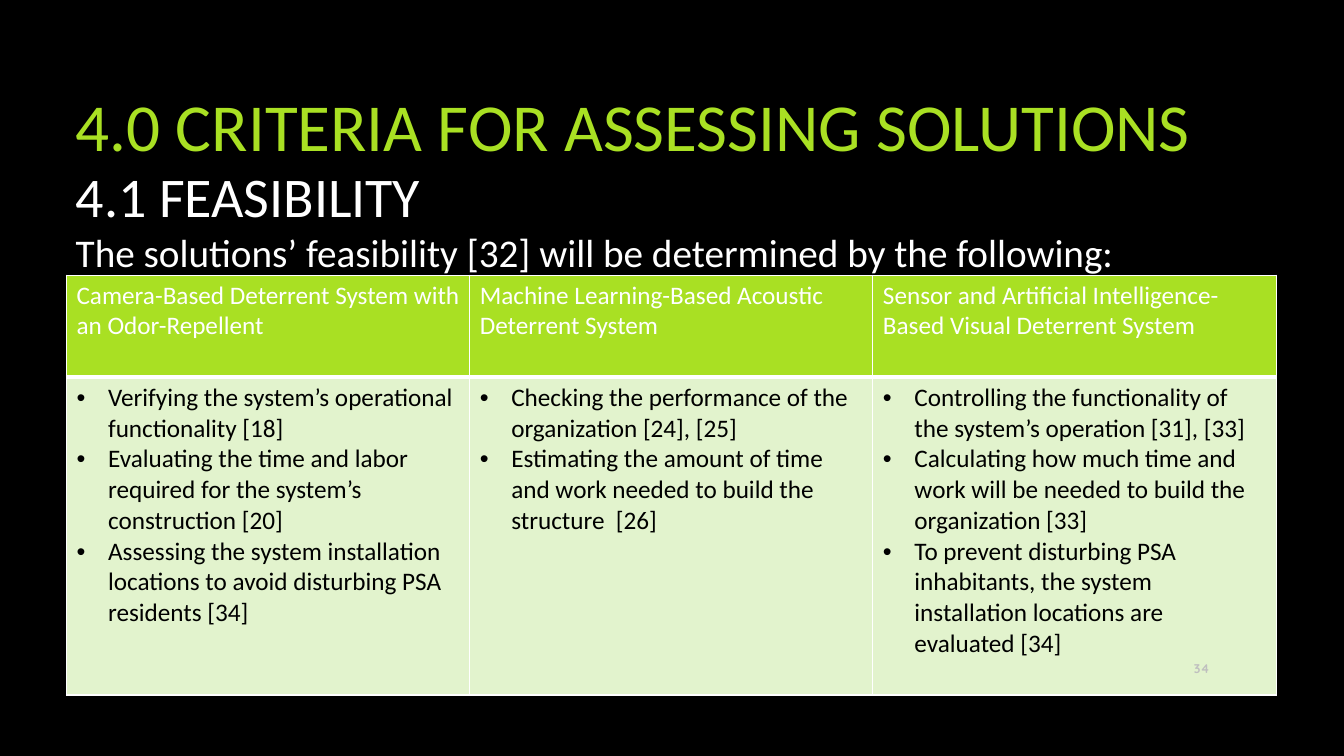
from dataclasses import dataclass

from lxml import etree
from pptx import Presentation
from pptx.dml.color import RGBColor
from pptx.enum.text import MSO_ANCHOR, MSO_AUTO_SIZE, PP_ALIGN
from pptx.oxml.ns import qn
from pptx.util import Pt

LEFT, RIGHT = PP_ALIGN.LEFT, PP_ALIGN.RIGHT
TOP, MIDDLE = MSO_ANCHOR.TOP, MSO_ANCHOR.MIDDLE
NO_AUTOFIT = MSO_AUTO_SIZE.NONE
TITLE_ONLY = 5


@dataclass(frozen=True)
class Theme:
    background: str = "000000"
    accent: str = "A9E023"
    tint: str = "E2F3CD"
    light: str = "FFFFFF"
    dark: str = "000000"
    muted: str = "BFBFBF"
    body_font: str = "Calibri"
    number_font: str = "Quicksand"
    title_size: int = 48
    heading_size: int = 40
    lead_size: int = 28
    table_size: int = 18
    number_size: int = 9
    border: int = 1
    header_rule: int = 3
    bullet_indent: float = 22.5


class SlideBuilder:
    def __init__(self, slide, theme):
        self.slide = slide
        self.theme = theme
        fill = slide.background.fill
        fill.solid()
        fill.fore_color.rgb = RGBColor.from_string(theme.background)

    def style(self, paragraph, size, color, font=None, bold=False, align=LEFT):
        paragraph.alignment = align
        paragraph.font.name = font or self.theme.body_font
        paragraph.font.size = Pt(size)
        paragraph.font.bold = bold
        paragraph.font.color.rgb = RGBColor.from_string(color)

    def title(self, text, left, top, width, height):
        title = self.slide.shapes.title
        title.left, title.top = Pt(left), Pt(top)
        title.width, title.height = Pt(width), Pt(height)
        frame = title.text_frame
        frame.text = text
        frame.word_wrap = True
        frame.auto_size = NO_AUTOFIT
        frame.vertical_anchor = MIDDLE
        self.style(frame.paragraphs[0], self.theme.title_size, self.theme.accent)

    def text(self, lines, left, top, width, height, color, anchor=TOP, **style):
        """Add a text box; lines holds (text, size) pairs."""
        box = self.slide.shapes.add_textbox(Pt(left), Pt(top), Pt(width), Pt(height))
        frame = box.text_frame
        frame.word_wrap = True
        frame.vertical_anchor = anchor
        for i, (line, size) in enumerate(lines):
            paragraph = frame.add_paragraph() if i else frame.paragraphs[0]
            paragraph.text = line
            self.style(paragraph, size, color, **style)

    def cell(self, cell, lines, fill, color, bottom, bullets=False):
        # Borders go before the fill in the cell properties
        properties = cell._tc.get_or_add_tcPr()
        border = self.theme.border
        for side, width in (("L", border), ("R", border), ("T", border), ("B", bottom)):
            line = etree.SubElement(properties, qn(f"a:ln{side}"), w=str(Pt(width)))
            solid = etree.SubElement(line, qn("a:solidFill"))
            etree.SubElement(solid, qn("a:srgbClr"), val=self.theme.light)
        cell.fill.solid()
        cell.fill.fore_color.rgb = RGBColor.from_string(fill)

        frame = cell.text_frame
        for i, text in enumerate(lines):
            paragraph = frame.add_paragraph() if i else frame.paragraphs[0]
            paragraph.text = text
            if bullets:
                self.bullet(paragraph)
            self.style(paragraph, self.theme.table_size, color)

    def bullet(self, paragraph):
        properties = paragraph._p.get_or_add_pPr()
        indent = Pt(self.theme.bullet_indent)
        properties.set("marL", str(indent))
        properties.set("indent", str(-indent))
        etree.SubElement(properties, qn("a:buFont"), typeface="Arial")
        etree.SubElement(properties, qn("a:buChar"), char="•")

    def table(self, columns, left, top, width, row_heights):
        """Add a table; columns maps each header to its bullet points."""
        frame = self.slide.shapes.add_table(
            len(row_heights), len(columns), Pt(left), Pt(top), Pt(width), Pt(sum(row_heights)))
        table = frame.table
        table.horz_banding = False
        for row, height in zip(table.rows, row_heights):
            row.height = Pt(height)
        theme = self.theme
        for i, (header, points) in enumerate(columns.items()):
            table.columns[i].width = Pt(width / len(columns))
            self.cell(table.cell(0, i), [header], theme.accent, theme.light, theme.header_rule)
            self.cell(table.cell(1, i), points, theme.tint, theme.dark, theme.border, bullets=True)


SOLUTIONS = {
    "Camera-Based Deterrent System with an Odor-Repellent": [
        "Verifying the system’s operational functionality [18]",
        "Evaluating the time and labor required for the system’s construction [20]",
        "Assessing the system installation locations to avoid disturbing PSA residents [34]",
    ],
    "Machine Learning-Based Acoustic Deterrent System": [
        "Checking the performance of the organization [24], [25]",
        "Estimating the amount of time and work needed to build the structure  [26]",
    ],
    "Sensor and Artificial Intelligence-Based Visual Deterrent System": [
        "Controlling the functionality of the system’s operation [31], [33]",
        "Calculating how much time and work will be needed to build the organization [33]",
        "To prevent disturbing PSA inhabitants, the system installation locations are evaluated [34]",
    ],
}


def main():
    presentation = Presentation()
    presentation.slide_width, presentation.slide_height = Pt(960), Pt(540)
    theme = Theme()
    slide = presentation.slides.add_slide(presentation.slide_layouts[TITLE_ONLY])
    builder = SlideBuilder(slide, theme)

    # Criteria table
    builder.table(SOLUTIONS, 47.5, 196.5, 864, (73, 227))

    # Title
    builder.title("4.0 CRITERIA FOR ASSESSING SOLUTIONS", 47, 33, 824, 112)

    # Slide number
    builder.text([("34", theme.number_size)], 828, 463, 43, 29, theme.muted,
                 anchor=MIDDLE, font=theme.number_font, bold=True, align=RIGHT)

    # Section heading and lead-in
    builder.text([
        ("4.1 FEASIBILITY", theme.heading_size),
        ("The solutions’ feasibility [32] will be determined by the following:", theme.lead_size),
    ], 47, 111.5, 758, 90, theme.light)

    presentation.save("out.pptx")


if __name__ == "__main__":
    main()
